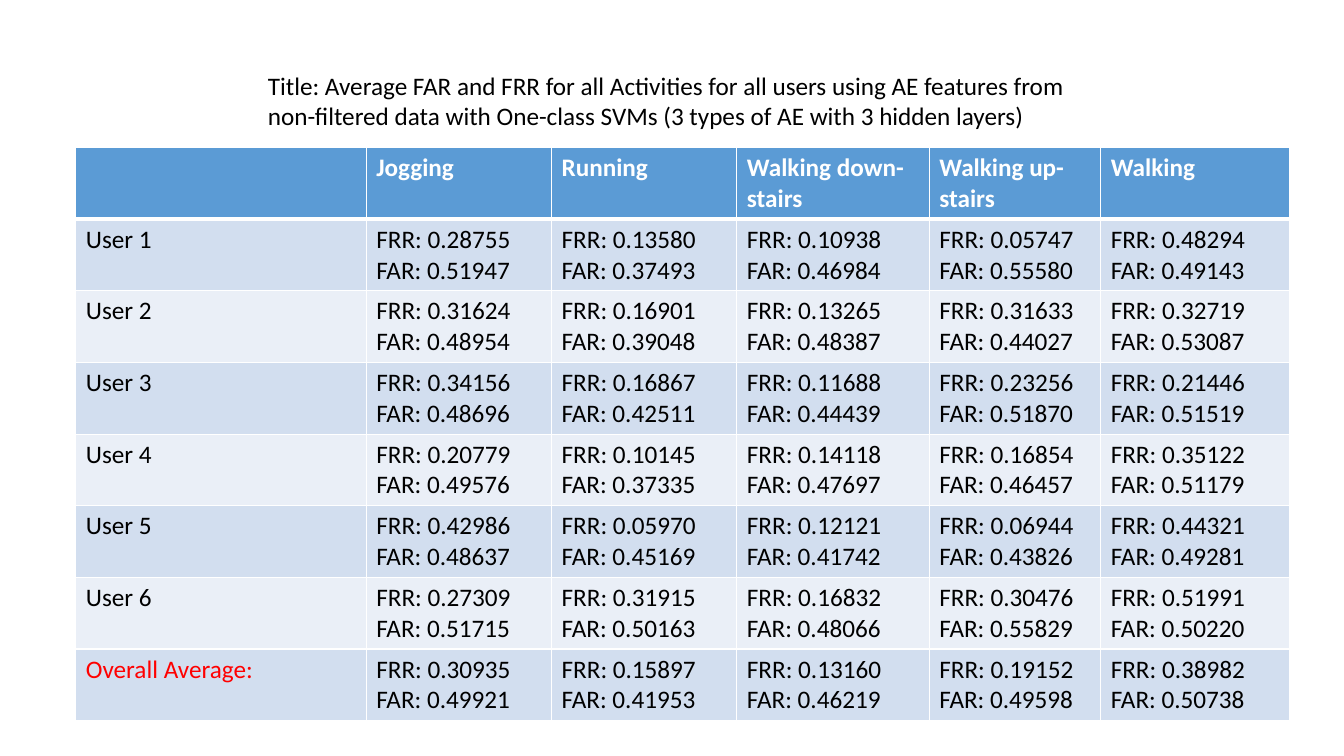
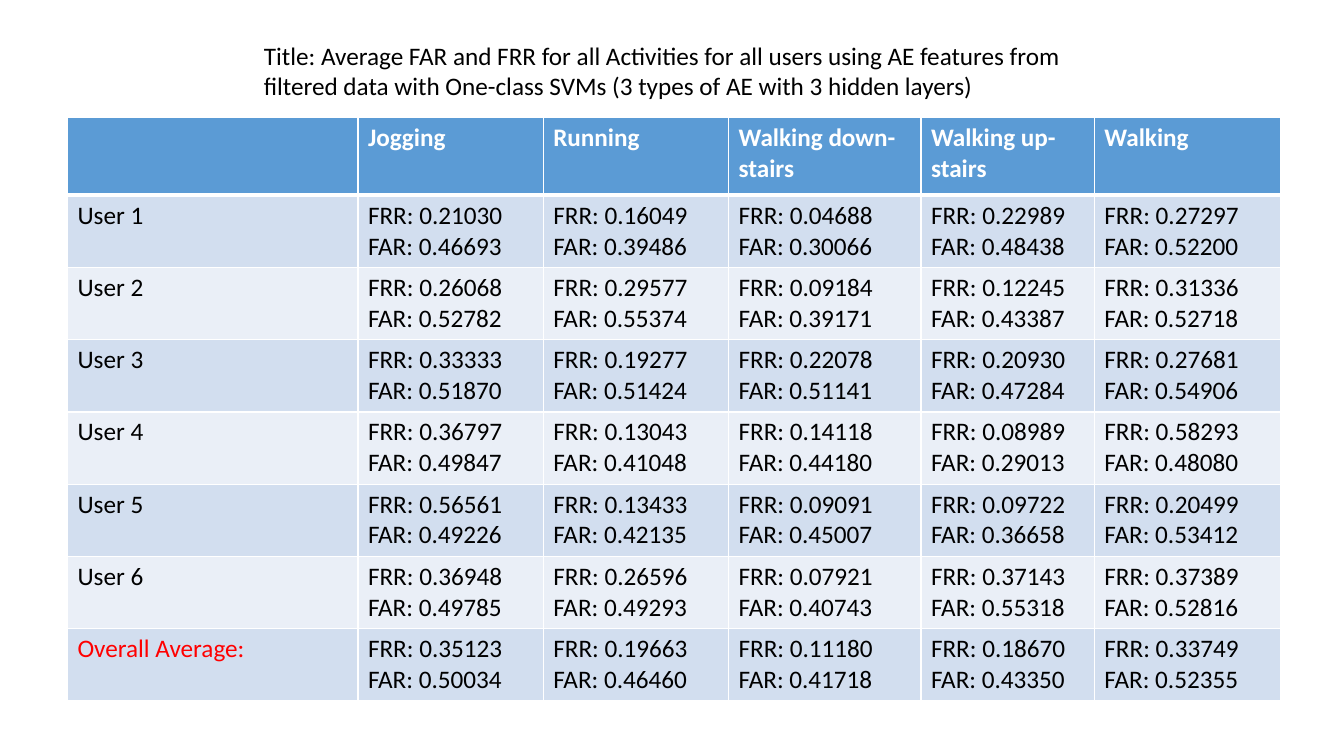
from lxml import etree
from pptx import Presentation
from pptx import util as u
from pptx.dml import color
from pptx.enum import text
from pptx.oxml import ns

FONT = "Calibri"
BLACK, WHITE, RED = "000000", "FFFFFF", "FF0000"
HEADER_FILL, BAND_FILLS = "5B9BD5", ("D2DEEF", "EAEFF7")
ACTIVITIES = ("Jogging", "Running", "Walking down-stairs", "Walking up-stairs", "Walking")
USERS = tuple(f"User {number}" for number in range(1, 7)) + ("Overall Average:",)
TITLE = ("Title: Average FAR and FRR for all Activities for all users using AE features "
         "from {} data with One-class SVMs (3 types of AE with 3 hidden layers)")

NON_FILTERED_FRR = (
    (0.28755, 0.13580, 0.10938, 0.05747, 0.48294),
    (0.31624, 0.16901, 0.13265, 0.31633, 0.32719),
    (0.34156, 0.16867, 0.11688, 0.23256, 0.21446),
    (0.20779, 0.10145, 0.14118, 0.16854, 0.35122),
    (0.42986, 0.05970, 0.12121, 0.06944, 0.44321),
    (0.27309, 0.31915, 0.16832, 0.30476, 0.51991),
    (0.30935, 0.15897, 0.13160, 0.19152, 0.38982),
)
NON_FILTERED_FAR = (
    (0.51947, 0.37493, 0.46984, 0.55580, 0.49143),
    (0.48954, 0.39048, 0.48387, 0.44027, 0.53087),
    (0.48696, 0.42511, 0.44439, 0.51870, 0.51519),
    (0.49576, 0.37335, 0.47697, 0.46457, 0.51179),
    (0.48637, 0.45169, 0.41742, 0.43826, 0.49281),
    (0.51715, 0.50163, 0.48066, 0.55829, 0.50220),
    (0.49921, 0.41953, 0.46219, 0.49598, 0.50738),
)
FILTERED_FRR = (
    (0.21030, 0.16049, 0.04688, 0.22989, 0.27297),
    (0.26068, 0.29577, 0.09184, 0.12245, 0.31336),
    (0.33333, 0.19277, 0.22078, 0.20930, 0.27681),
    (0.36797, 0.13043, 0.14118, 0.08989, 0.58293),
    (0.56561, 0.13433, 0.09091, 0.09722, 0.20499),
    (0.36948, 0.26596, 0.07921, 0.37143, 0.37389),
    (0.35123, 0.19663, 0.11180, 0.18670, 0.33749),
)
FILTERED_FAR = (
    (0.46693, 0.39486, 0.30066, 0.48438, 0.52200),
    (0.52782, 0.55374, 0.39171, 0.43387, 0.52718),
    (0.51870, 0.51424, 0.51141, 0.47284, 0.54906),
    (0.49847, 0.41048, 0.44180, 0.29013, 0.48080),
    (0.49226, 0.42135, 0.45007, 0.36658, 0.53412),
    (0.49785, 0.49293, 0.40743, 0.55318, 0.52816),
    (0.50034, 0.46460, 0.41718, 0.43350, 0.52355),
)


def rgb(value):
    """Turn a hex string into a colour."""
    return color.RGBColor.from_string(value)


def write_lines(frame, lines, hex_color=BLACK, bold=False):
    """Write each line as a paragraph with one run."""
    for index, line in enumerate(lines):
        paragraph = frame.add_paragraph() if index else frame.paragraphs[0]
        run = paragraph.add_run()
        run.text = line
        run.font.name = FONT
        run.font.size = u.Pt(18)
        run.font.bold = bold
        run.font.color.rgb = rgb(hex_color)


def add_title(slide, box, data_kind):
    """Add the title for one kind of data."""
    shape = slide.shapes.add_textbox(*map(u.Cm, box))
    frame = shape.text_frame
    frame.word_wrap = True
    frame.auto_size = text.MSO_AUTO_SIZE.SHAPE_TO_FIT_TEXT
    write_lines(frame, [TITLE.format(data_kind)])


def set_borders(cell, top=1, bottom=1):
    """Draw white cell borders with the given widths in points."""
    properties = cell._tc.get_or_add_tcPr()
    widths = {"a:lnL": 1, "a:lnR": 1, "a:lnT": top, "a:lnB": bottom}
    for index, (tag, width) in enumerate(widths.items()):
        line = etree.Element(ns.qn(tag), w=str(u.Pt(width)))
        fill = etree.SubElement(line, ns.qn("a:solidFill"))
        etree.SubElement(fill, ns.qn("a:srgbClr"), val=WHITE)
        properties.insert(index, line)


def fill_cell(cell, lines, fill, hex_color=BLACK, bold=False):
    """Give a cell its fill and text."""
    cell.fill.solid()
    cell.fill.fore_color.rgb = rgb(fill)
    write_lines(cell.text_frame, lines, hex_color, bold)


def add_rates_table(slide, corner, column_widths, row_heights, frr, far):
    """Add the table of error rates by user and activity."""
    size = (sum(column_widths), sum(row_heights))
    table = slide.shapes.add_table(len(row_heights), len(column_widths),
                                   *map(u.Cm, corner + size)).table
    for column, width in zip(table.columns, column_widths):
        column.width = u.Cm(width)
    for row, height in zip(table.rows, row_heights):
        row.height = u.Cm(height)
    for column, heading in enumerate(("",) + ACTIVITIES):
        cell = table.cell(0, column)
        fill_cell(cell, [heading] if heading else [], HEADER_FILL, WHITE, True)
        set_borders(cell, bottom=3)
    for row, (user, frr_row, far_row) in enumerate(zip(USERS, frr, far), 1):
        fill = BAND_FILLS[(row - 1) % 2]
        user_color = RED if user == USERS[-1] else BLACK
        fill_cell(table.cell(row, 0), [user], fill, user_color)
        for column, rates in enumerate(zip(frr_row, far_row), 1):
            lines = [f"{name}: {rate:.5f}" for name, rate in zip(("FRR", "FAR"), rates)]
            fill_cell(table.cell(row, column), lines, fill)
        for cell in table.rows[row].cells:
            set_borders(cell, top=3 if row == 1 else 1)


def main():
    """Build both slides and save them."""
    presentation = Presentation()
    presentation.slide_width, presentation.slide_height = u.Cm(33.87), u.Cm(19.05)
    blank = presentation.slide_layouts[6]

    slide = presentation.slides.add_slide(blank)
    add_rates_table(slide, (1.91, 3.72), (7.32, 4.67, 4.67, 4.85, 4.32, 4.75),
                    [1.78] * 8, NON_FILTERED_FRR, NON_FILTERED_FAR)
    add_title(slide, (6.5, 1.65, 20.65, 1.8), "non-filtered")

    slide = presentation.slides.add_slide(blank)
    add_title(slide, (6.4, 0.89, 20.65, 2.57), "filtered")
    add_rates_table(slide, (1.7, 2.97), (7.32, 4.67, 4.67, 4.85, 4.37, 4.7),
                    [1.95] + [1.82] * 7, FILTERED_FRR, FILTERED_FAR)

    presentation.save("out.pptx")


main()
